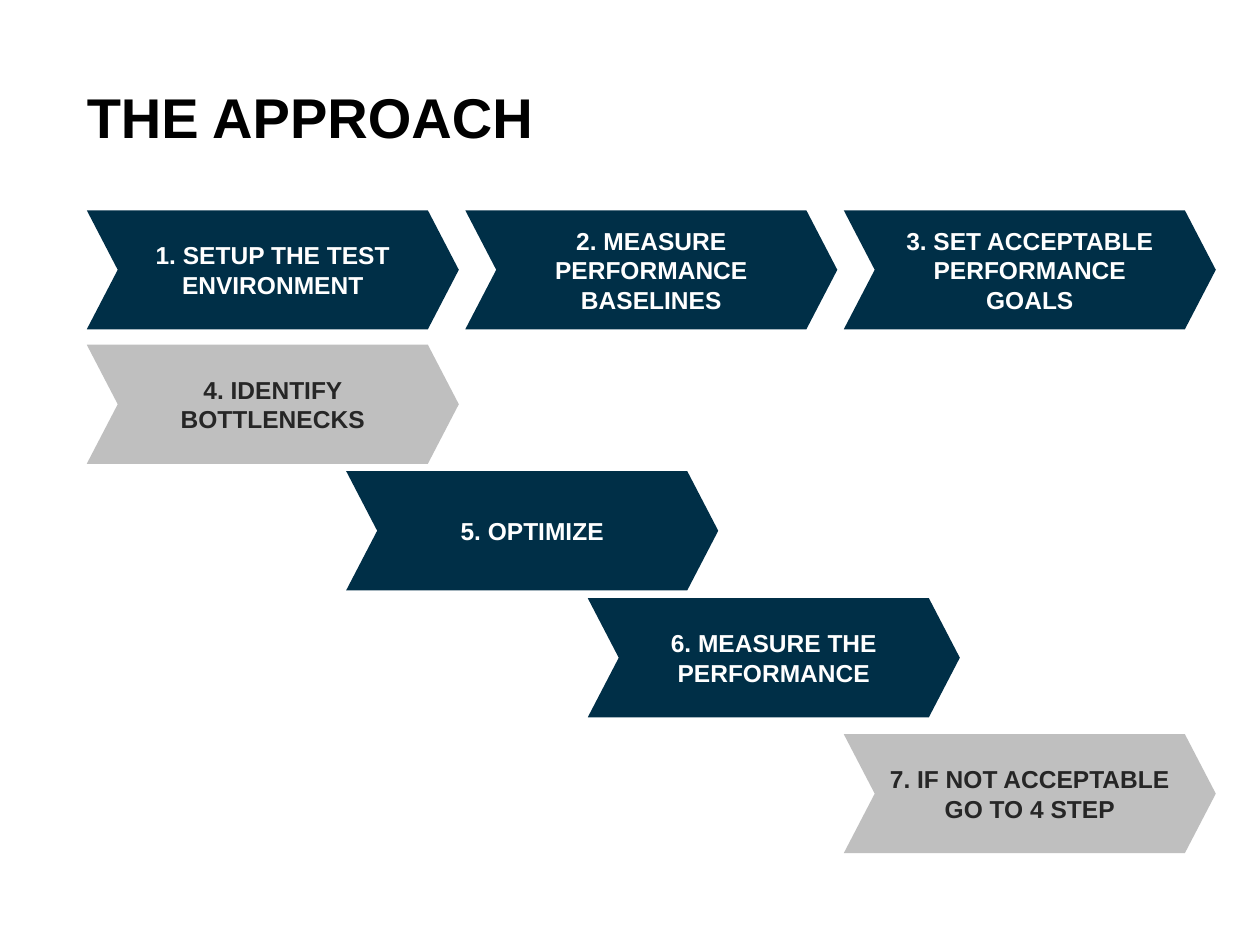
"""Build the approach slide as a cascade of numbered chevrons."""
from dataclasses import dataclass

from pptx import Presentation
from pptx.dml.color import RGBColor
from pptx.enum.shapes import MSO_SHAPE
from pptx.enum.text import MSO_ANCHOR, PP_ALIGN
from pptx.util import Cm, Pt


@dataclass(frozen=True)
class Theme:
    font: str = "Arial"
    black: str = "000000"
    white: str = "FFFFFF"
    navy: str = "002F47"
    silver: str = "BFBFBF"
    charcoal: str = "262626"
    title_size: int = 32
    step_size: int = 14


class SlideBuilder:
    def __init__(self, page, theme):
        self.page = page
        self.theme = theme

    def add_span(self, para, text, size, color):
        span = para.add_run()
        span.text = text
        span.font.name = self.theme.font
        span.font.size = Pt(size)
        span.font.bold = True
        span.font.color.rgb = RGBColor.from_string(color)

    def add_title(self, text, left, top, width, height):
        box = self.page.shapes.add_textbox(Cm(left), Cm(top), Cm(width), Cm(height))
        frame = box.text_frame
        frame.word_wrap = True
        frame.margin_left = frame.margin_right = Cm(0)
        frame.margin_top = frame.margin_bottom = Cm(0)
        para = frame.paragraphs[0]
        para.line_spacing = 1.2
        self.add_span(para, text, self.theme.title_size, self.theme.black)

    def add_step(self, text, left, top, width, height, fill, color):
        chevron = self.page.shapes.add_shape(
            MSO_SHAPE.CHEVRON, Cm(left), Cm(top), Cm(width), Cm(height)
        )
        chevron.adjustments[0] = 0.26
        chevron.shadow.inherit = False
        chevron.fill.solid()
        chevron.fill.fore_color.rgb = RGBColor.from_string(fill)
        chevron.line.fill.background()
        frame = chevron.text_frame
        frame.word_wrap = True
        frame.vertical_anchor = MSO_ANCHOR.MIDDLE
        para = frame.paragraphs[0]
        para.alignment = PP_ALIGN.CENTER
        self.add_span(para, text, self.theme.step_size, color)


def main():
    deck = Presentation()
    deck.slide_width, deck.slide_height = Cm(25.4), Cm(19.05)
    page = deck.slides.add_slide(deck.slide_layouts[6])
    theme = Theme()
    builder = SlideBuilder(page, theme)

    margin, pitch, first_row = 1.75, 7.63, 4.24
    step_width, step_height = 7.5, 2.4
    columns = [margin + pitch * index for index in range(3)]
    dark = (theme.navy, theme.white)
    light = (theme.silver, theme.charcoal)
    steps = [
        ("SETUP THE TEST ENVIRONMENT", columns[0], first_row, dark),
        ("MEASURE PERFORMANCE BASELINES", columns[1], first_row, dark),
        ("SET ACCEPTABLE PERFORMANCE GOALS", columns[2], first_row, dark),
        ("IDENTIFY BOTTLENECKS", columns[0], 6.95, light),
        ("OPTIMIZE", 6.98, 9.5, dark),
        ("MEASURE THE PERFORMANCE", 11.85, 12.06, dark),
        ("IF NOT ACCEPTABLE GO TO 4 STEP", columns[2], 14.8, light),
    ]

    builder.add_title("THE APPROACH", margin, 1.4, 21.95, 1.5)
    for number, (label, left, top, colors) in enumerate(steps, start=1):
        builder.add_step(f"{number}. {label}", left, top, step_width, step_height, *colors)

    deck.save("out.pptx")


if __name__ == "__main__":
    main()
